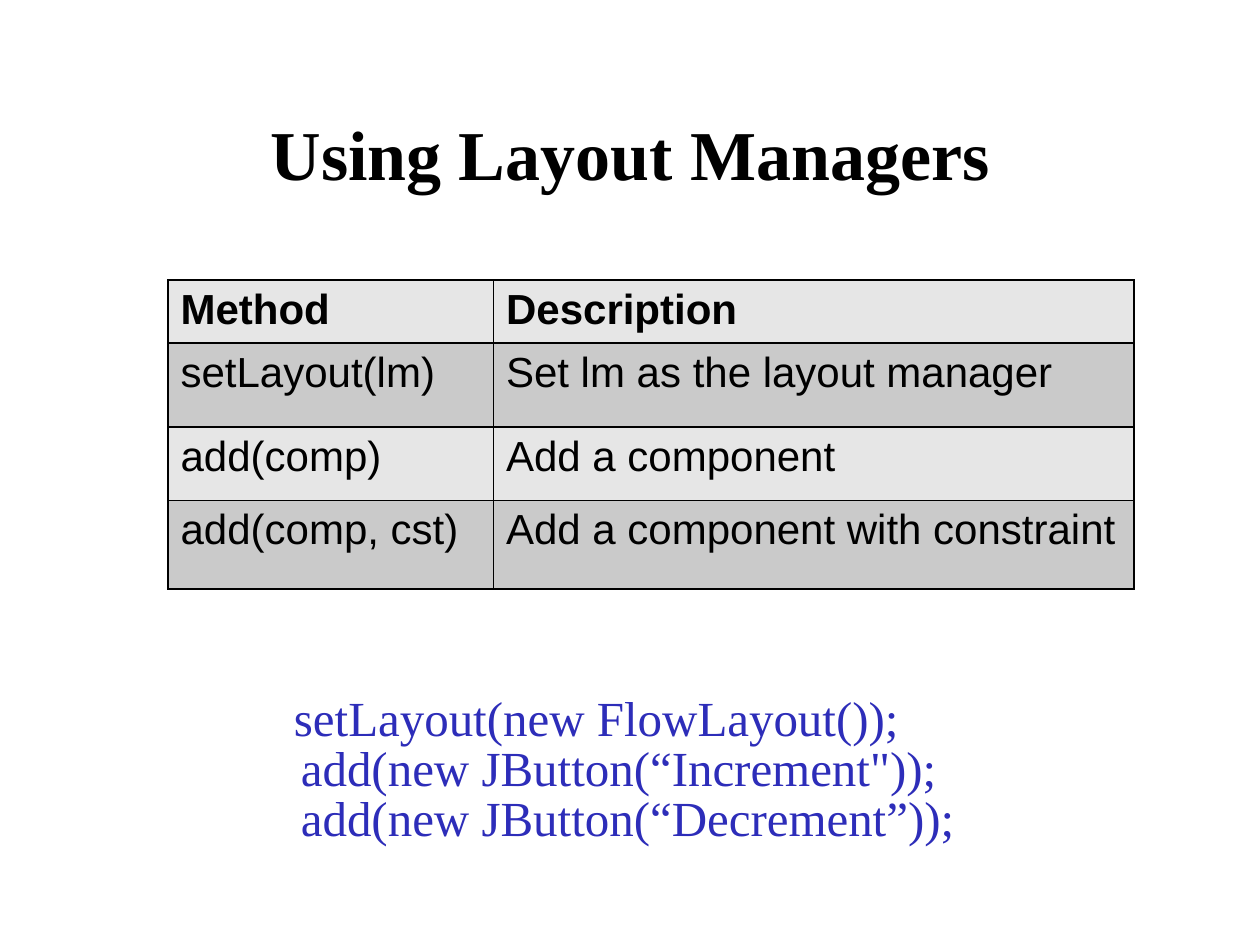
from dataclasses import dataclass

from lxml import etree
from pptx import Presentation
from pptx.dml.color import RGBColor
from pptx.enum.text import MSO_ANCHOR, PP_ALIGN
from pptx.oxml.ns import qn
from pptx.util import Pt

MIDDLE = MSO_ANCHOR.MIDDLE
CENTER = PP_ALIGN.CENTER
BLANK_LAYOUT = 6


@dataclass(frozen=True)
class Theme:
    ink: str = "000000"
    code: str = "2D2DB9"
    bands: tuple = ("E6E6E6", "CACACA")
    serif: str = "Times New Roman"
    sans: str = "Arial"
    title_size: int = 40
    table_size: int = 24
    code_size: int = 28
    first_indent_size: int = 24
    border_width: int = 1


THEME = Theme()

METHODS = [
    ("Method", "Description"),
    ("setLayout(lm)", "Set lm as the layout manager"),
    ("add(comp)", "Add a component"),
    ("add(comp, cst)", "Add a component with constraint"),
]
COLUMN_SHARES = (186, 366)
ROW_SHARES = (35.5, 48, 42, 50.5)

CODE_INDENT = "    "
CODE_LINES = [
    ("setLayout(new FlowLayout());", THEME.first_indent_size),
    ("add(new JButton(“Increment\"));", THEME.code_size),
    ("add(new JButton(“Decrement”));", THEME.code_size),
]


def style_font(font, family, size, color, bold=False):
    font.name = family
    font.size = Pt(size)
    font.color.rgb = RGBColor.from_string(color)
    font.bold = bold


def add_text_frame(slide, box):
    frame = slide.shapes.add_textbox(*map(Pt, box)).text_frame
    frame.word_wrap = True
    frame.vertical_anchor = MIDDLE
    return frame


def add_title(slide, box, text):
    heading = add_text_frame(slide, box).paragraphs[0]
    heading.text = text
    heading.alignment = CENTER
    style_font(heading.font, THEME.serif, THEME.title_size, THEME.ink, True)


def add_borders(cell):
    properties = cell._tc.get_or_add_tcPr()
    for position, side in enumerate(("a:lnL", "a:lnR", "a:lnT", "a:lnB")):
        border = etree.Element(qn(side), w=str(Pt(THEME.border_width)))
        fill = etree.SubElement(border, qn("a:solidFill"))
        etree.SubElement(fill, qn("a:srgbClr"), val=THEME.ink)
        properties.insert(position, border)


def add_method_table(slide, box):
    width, height = box[2:]
    table = slide.shapes.add_table(
        len(METHODS), len(COLUMN_SHARES), *map(Pt, box)).table
    for column, share in zip(table.columns, COLUMN_SHARES):
        column.width = Pt(width * share / sum(COLUMN_SHARES))
    for row_index, (row, share) in enumerate(zip(table.rows, ROW_SHARES)):
        row.height = Pt(height * share / sum(ROW_SHARES))
        band = THEME.bands[row_index % len(THEME.bands)]
        for cell, text in zip(row.cells, METHODS[row_index]):
            cell.text = text
            cell.fill.solid()
            cell.fill.fore_color.rgb = RGBColor.from_string(band)
            style_font(cell.text_frame.paragraphs[0].font, THEME.sans,
                       THEME.table_size, THEME.ink, row_index == 0)
            add_borders(cell)


def add_code(slide, box):
    frame = add_text_frame(slide, box)
    frame.margin_left = frame.margin_right = 0
    frame.margin_top = frame.margin_bottom = 0
    for index, (statement, indent_size) in enumerate(CODE_LINES):
        line = frame.add_paragraph() if index else frame.paragraphs[0]
        line.line_spacing = 0.85
        for text, size in ((CODE_INDENT, indent_size),
                           (statement, THEME.code_size)):
            run = line.add_run()
            run.text = text
            style_font(run.font, THEME.serif, size, THEME.code)


def main():
    presentation = Presentation()
    presentation.slide_width = Pt(720)
    presentation.slide_height = Pt(540)
    slide = presentation.slides.add_slide(
        presentation.slide_layouts[BLANK_LAYOUT])
    add_title(slide, (54, 48, 612, 78), "Using Layout Managers")
    add_method_table(slide, (96, 160, 552, 176))
    add_code(slide, (144, 366, 438, 150))
    presentation.save("out.pptx")


if __name__ == "__main__":
    main()
